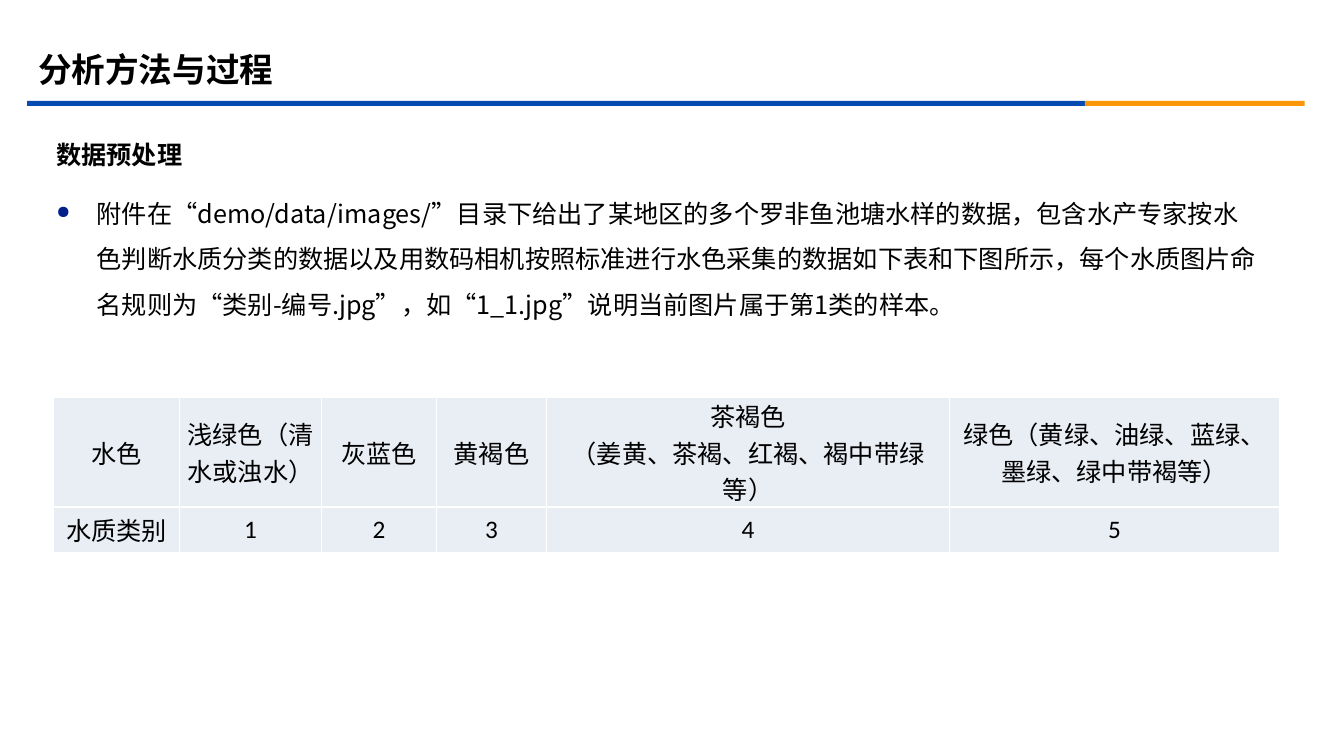
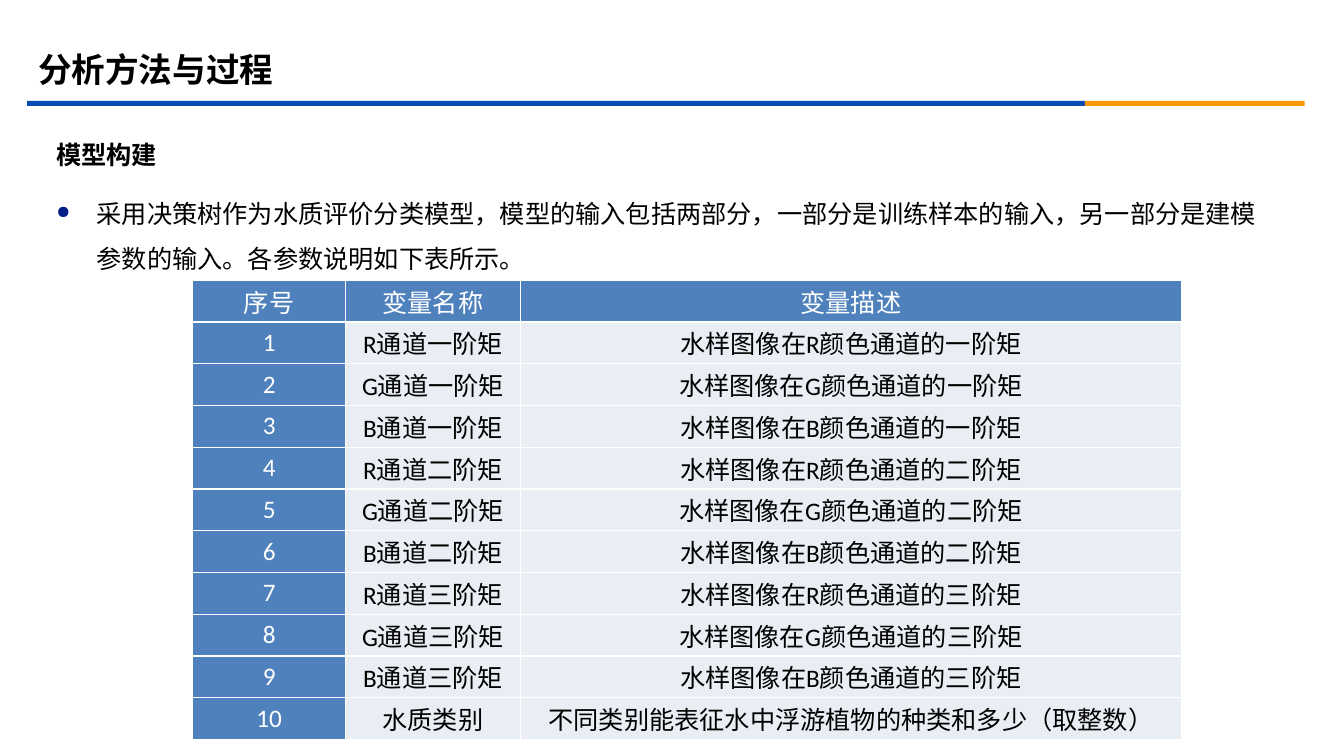
from lxml import etree
from pptx import Presentation
from pptx.dml.color import RGBColor
from pptx.enum.shapes import MSO_SHAPE
from pptx.enum.text import MSO_ANCHOR, PP_ALIGN
from pptx.oxml.ns import qn
from pptx.util import Inches, Pt

RECT = MSO_SHAPE.RECTANGLE
MIDDLE = MSO_ANCHOR.MIDDLE
CENTER = PP_ALIGN.CENTER

COLORS = {
    "text": "000000",
    "white": "FFFFFF",
    "blue": "064BB2",
    "orange": "FB9708",
    "bullet": "032089",
    "head": "4F81BD",
    "cell": "E9EDF4",
}
HAN = "Noto Sans CJK SC"
LATIN = "Calibri"
TITLE = "分析方法与过程"


def rgb(name):
    return RGBColor.from_string(COLORS[name])


def add_run(para, text, size=18, bold=False, color="text", font=HAN):
    run = para.add_run()
    run.text = text
    run.font.size = Pt(size)
    run.font.bold = bold
    run.font.color.rgb = rgb(color)
    run.font.name = font
    etree.SubElement(run.font._element, qn("a:ea"), typeface=HAN)


def add_frame(slide, left, top, width, height):
    box = slide.shapes.add_textbox(
        Inches(left), Inches(top), Inches(width), Inches(height))
    box.text_frame.word_wrap = True
    return box.text_frame


def add_band(slide, left, width, color):
    band = slide.shapes.add_shape(
        RECT, Inches(left), Inches(1), Inches(width), Inches(0.05))
    band.shadow.inherit = False
    band.fill.solid()
    band.fill.fore_color.rgb = rgb(color)
    band.line.fill.background()


def set_bullet(para):
    props = para._p.get_or_add_pPr()
    indent = Inches(0.4)
    props.set("marL", str(indent))
    props.set("indent", str(-indent))
    tint = etree.SubElement(props, qn("a:buClr"))
    etree.SubElement(tint, qn("a:srgbClr"), val=COLORS["bullet"])
    etree.SubElement(props, qn("a:buSzPct"), val="70000")
    etree.SubElement(props, qn("a:buChar"), char="●")


def add_body(slide, heading, text):
    frame = add_frame(slide, 0.46, 1.18, 12.15, 5.52)
    first, second = frame.paragraphs[0], frame.add_paragraph()
    for para in (first, second):
        para.line_spacing = 1.5
        para.space_before = Pt(10)
    add_run(first, heading, bold=True)
    set_bullet(second)
    add_run(second, text)


def add_page(deck, heading, text):
    """Add a slide with the shared title, bands and body."""
    slide = deck.slides.add_slide(deck.slide_layouts[6])
    add_band(slide, 0.27, 10.49, "blue")
    add_band(slide, 10.76, 2.18, "orange")
    add_body(slide, heading, text)
    frame = add_frame(slide, 0.28, 0.39, 12, 0.58)
    frame.vertical_anchor = MIDDLE
    add_run(frame.paragraphs[0], TITLE, size=24, bold=True)
    return slide


def set_border(cell):
    props = cell._tc.get_or_add_tcPr()
    for side in ("lnL", "lnR", "lnT", "lnB"):
        line = etree.SubElement(props, qn(f"a:{side}"), w=str(Pt(1)))
        fill = etree.SubElement(line, qn("a:solidFill"))
        etree.SubElement(fill, qn("a:srgbClr"), val=COLORS["white"])


def fill_cell(cell, text, inset, head):
    set_border(cell)
    cell.fill.solid()
    cell.fill.fore_color.rgb = rgb("head" if head else "cell")
    cell.vertical_anchor = MIDDLE
    cell.margin_left = cell.margin_right = Inches(inset)
    cell.margin_top = cell.margin_bottom = 0
    frame = cell.text_frame
    for i, line in enumerate(text.split("\n")):
        para = frame.add_paragraph() if i else frame.paragraphs[0]
        para.alignment = CENTER
        add_run(para, line, color="white" if head else "text", font=LATIN)


def add_grid(slide, left, top, widths, heights, rows, inset, heads=False):
    """Add a table; heads colours its first row and first column."""
    table = slide.shapes.add_table(
        len(rows), len(widths), Inches(left), Inches(top),
        Inches(sum(widths)), Inches(sum(heights))).table
    for col, width in zip(table.columns, widths):
        col.width = Inches(width)
    for row, height in zip(table.rows, heights):
        row.height = Inches(height)
    for r, texts in enumerate(rows):
        for c, text in enumerate(texts):
            fill_cell(table.cell(r, c), text, inset, heads and 0 in (r, c))


def add_data(deck):
    slide = add_page(
        deck, "数据预处理",
        "附件在“demo/data/images/”目录下给出了某地区的多个罗非鱼池塘水样的数据，"
        "包含水产专家按水色判断水质分类的数据以及用数码相机按照标准进行水色采集的"
        "数据如下表和下图所示，每个水质图片命名规则为“类别-编号.jpg”，"
        "如“1_1.jpg”说明当前图片属于第1类的样本。")
    rows = [
        ["水色", "浅绿色（清水或浊水）", "灰蓝色", "黄褐色",
         "茶褐色\n（姜黄、茶褐、红褐、褐中带绿等）",
         "绿色（黄绿、油绿、蓝绿、墨绿、绿中带褐等）"],
        ["水质类别", "1", "2", "3", "4", "5"],
    ]
    add_grid(slide, 0.53, 3.94, [1.25, 1.41, 1.14, 1.09, 4, 3.27],
             [1.09, 0.45], rows, 0.07)


def add_model(deck):
    slide = add_page(
        deck, "模型构建",
        "采用决策树作为水质评价分类模型，模型的输入包括两部分，一部分是训练样本的"
        "输入，另一部分是建模参数的输入。各参数说明如下表所示。")
    items = [(f"{band}通道{rank}阶矩", f"水样图像在{band}颜色通道的{rank}阶矩")
             for rank in "一二三" for band in "RGB"]
    items.append(("水质类别", "不同类别能表征水中浮游植物的种类和多少（取整数）"))
    rows = [("序号", "变量名称", "变量描述")]
    rows += [(str(n), *item) for n, item in enumerate(items, 1)]
    heights = [4.56 / len(rows)] * len(rows)
    add_grid(slide, 1.91, 2.78, [1.52, 1.73, 6.56], heights, rows, 0.03,
             heads=True)


def main():
    deck = Presentation()
    deck.slide_width = Inches(13.33)
    deck.slide_height = Inches(7.5)
    add_data(deck)
    add_model(deck)
    deck.save("out.pptx")


if __name__ == "__main__":
    main()
